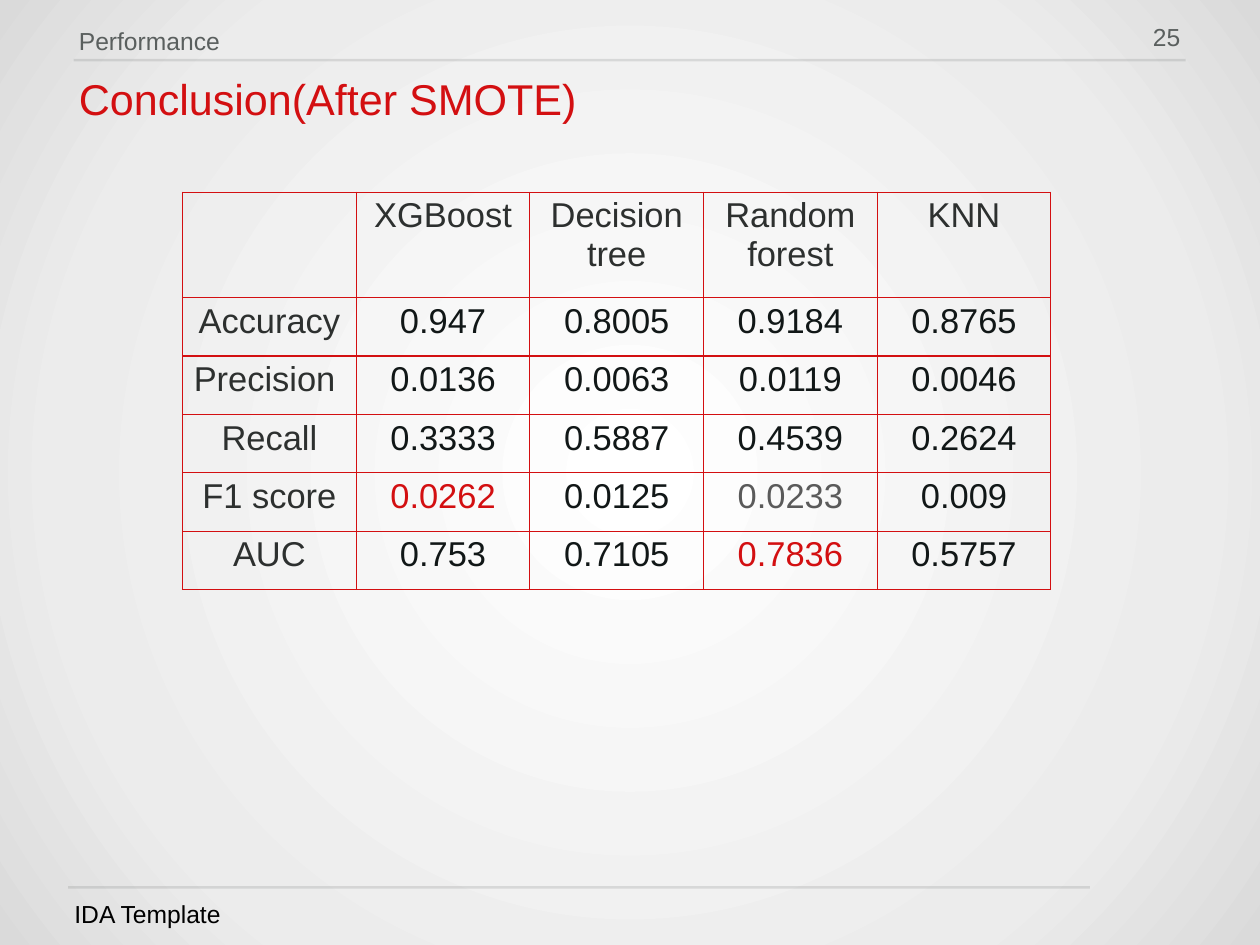
from pptx import Presentation
from pptx.dml.color import RGBColor
from pptx.enum.shapes import MSO_CONNECTOR
from pptx.enum.text import MSO_ANCHOR, PP_ALIGN
from pptx.oxml import parse_xml
from pptx.oxml.ns import nsdecls
from pptx.util import Inches, Pt
from lxml.etree import SubElement

RED = RGBColor(0xD3, 0x0F, 0x11)
GREY = RGBColor(0x5A, 0x5F, 0x5E)
DIM = RGBColor(0x5A, 0x5A, 0x5A)
DARK = RGBColor(0x2D, 0x30, 0x2F)
INK = RGBColor(0x11, 0x17, 0x17)
BLACK = RGBColor(0, 0, 0)
GLOW = [
    (0, RGBColor(0xFF, 0xFF, 0xFF)),
    (73, RGBColor(0xEC, 0xEC, 0xEC)),
    (100, RGBColor(0xDA, 0xDA, 0xDA)),
]
FONT = "Arial"
SCORES = [
    ["", "XGBoost", "Decision tree", "Random forest", "KNN"],
    ["Accuracy", "0.947", "0.8005", "0.9184", "0.8765"],
    ["Precision ", "0.0136", "0.0063", "0.0119", "0.0046"],
    ["Recall", "0.3333", "0.5887", "0.4539", "0.2624"],
    ["F1 score", "0.0262", "0.0125", "0.0233", "0.009"],
    ["AUC", "0.753", "0.7105", "0.7836", "0.5757"],
]
MARKS = {(4, 1): RED, (4, 3): DIM, (5, 3): RED}


def set_font(para, size, color):
    para.font.name = FONT
    para.font.size = Pt(size)
    para.font.color.rgb = color


def paint_back(slide):
    stops = "".join(
        f'<a:gs pos="{pos * 1000}"><a:srgbClr val="{color}"/></a:gs>'
        for pos, color in GLOW
    )
    slide.element.cSld.insert(0, parse_xml(
        f'<p:bg {nsdecls("p", "a")}><p:bgPr><a:gradFill rotWithShape="1">'
        f'<a:gsLst>{stops}</a:gsLst><a:path path="circle">'
        '<a:fillToRect l="50000" t="50000" r="50000" b="50000"/></a:path>'
        '</a:gradFill><a:effectLst/></p:bgPr></p:bg>'
    ))


def add_rule(slide, left, right, top):
    rule = slide.shapes.add_connector(
        MSO_CONNECTOR.STRAIGHT,
        Inches(left), Inches(top), Inches(right), Inches(top),
    )
    rule.line.width = Pt(2)
    rule.line.color.rgb = GREY
    props = rule.element.spPr
    names = props.nsmap
    tint = props.find(".//a:srgbClr", names)
    SubElement(tint, f"{{{names['a']}}}alpha", val="16000")
    SubElement(props, f"{{{names['a']}}}effectLst")


def add_label(slide, text, box, size, color, align=PP_ALIGN.LEFT,
              anchor=MSO_ANCHOR.TOP, pitch=1.0):
    frame = slide.shapes.add_textbox(*map(Inches, box)).text_frame
    frame.word_wrap = True
    frame.vertical_anchor = anchor
    frame.margin_left = frame.margin_right = Inches(0.06)
    frame.margin_top = frame.margin_bottom = Inches(0.06)
    para = frame.paragraphs[0]
    para.text = text
    para.alignment = align
    para.line_spacing = pitch
    set_font(para, size, color)


def add_border(cell):
    props = cell._tc.get_or_add_tcPr()
    for spot, side in enumerate("LRTB"):
        props.insert(spot, parse_xml(
            f'<a:ln{side} {nsdecls("a")} w="{Pt(1)}"><a:solidFill>'
            f'<a:srgbClr val="{RED}"/></a:solidFill></a:ln{side}>'
        ))


def add_scores(slide):
    table = slide.shapes.add_table(
        len(SCORES), len(SCORES[0]),
        Inches(2.06), Inches(2.17), Inches(9.8), Inches(4.49),
    ).table
    table.first_row = table.horz_banding = False
    for col in table.columns:
        col.width = Inches(1.96)
    for r, line in enumerate(SCORES):
        table.rows[r].height = Inches(0.66 if r else 1.19)
        for c, text in enumerate(line):
            cell = table.cell(r, c)
            cell.fill.background()
            add_border(cell)
            para = cell.text_frame.paragraphs[0]
            para.text = text
            para.alignment = PP_ALIGN.CENTER
            plain = INK if r and c else DARK
            set_font(para, 28, MARKS.get((r, c), plain))


def main():
    deck = Presentation()
    deck.slide_width = Inches(14.22)
    deck.slide_height = Inches(10.67)
    slide = deck.slides.add_slide(deck.slide_layouts[6])
    paint_back(slide)
    add_rule(slide, 0.83, 13.38, 0.68)
    add_rule(slide, 0.77, 12.3, 10.02)
    add_label(slide, "25", (12.84, 0.23, 0.54, 0.44), 20, GREY,
              align=PP_ALIGN.RIGHT, pitch=0.9)
    add_label(slide, "Performance", (0.83, 0.23, 10.39, 0.45), 20, GREY)
    add_label(slide, "Conclusion(After SMOTE)", (0.83, 0.83, 12.54, 0.67),
              35, RED, pitch=0.9)
    add_label(slide, "IDA Template", (0.78, 10.1, 5.99, 0.44), 20, BLACK,
              anchor=MSO_ANCHOR.BOTTOM)
    add_scores(slide)
    deck.save("out.pptx")


if __name__ == "__main__":
    main()
